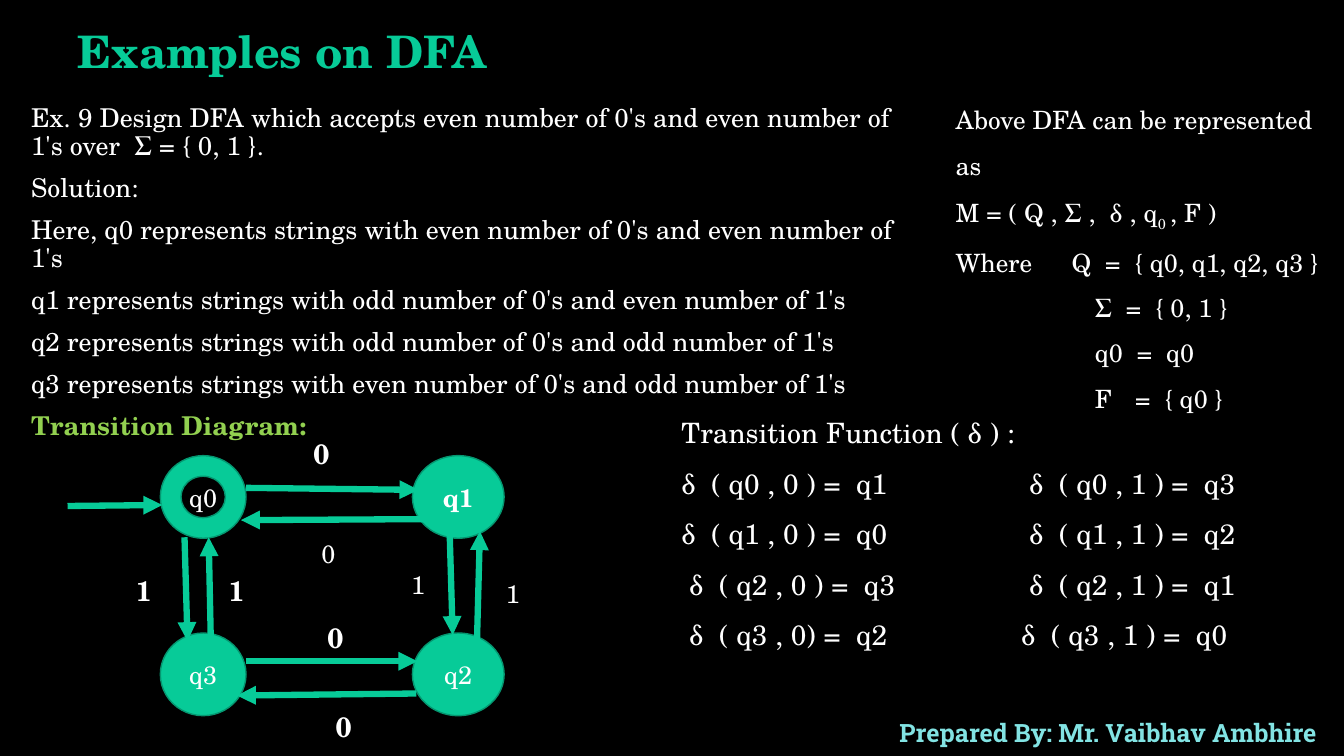
"""Build a slide that designs a DFA for even numbers of 0's and 1's."""
import pptx
import pptx.util
import pptx.dml.color
import pptx.enum.shapes
import pptx.enum.text
import pptx.oxml.ns
import lxml.etree

Inches = pptx.util.Inches
Pt = pptx.util.Pt
RGB = pptx.dml.color.RGBColor.from_string
ALIGN = pptx.enum.text.PP_ALIGN
ANCHOR = pptx.enum.text.MSO_ANCHOR
SHAPE = pptx.enum.shapes.MSO_SHAPE
qn = pptx.oxml.ns.qn

COLOURS = {
    "background": "000000",
    "text": "FFFFFF",
    "accent": "07CB98",
    "outline": "059670",
    "heading": "92D050",
    "footer": "82E3E3",
}
SERIF = "TeX Gyre Schola"

deck = pptx.Presentation()
deck.slide_width = Inches(13.33)
deck.slide_height = Inches(7.5)
page = deck.slides.add_slide(deck.slide_layouts[5])
page.background.fill.solid()
page.background.fill.fore_color.rgb = RGB(COLOURS["background"])


def write(box, lines, size, bold=False, colour="text", font=SERIF,
          spacing=None, before=None, align=ALIGN.LEFT):
    """Fill a shape with evenly formatted paragraphs."""
    frame = box.text_frame
    frame.word_wrap = True
    frame.text = "\n".join(lines)
    for para in frame.paragraphs:
        para.alignment = align
        para.line_spacing = spacing
        para.space_before = before
        para.font.size = Pt(size)
        for span in para.runs:
            span.font.name = font
            span.font.size = Pt(size)
            span.font.bold = bold
            span.font.color.rgb = RGB(COLOURS[colour])
    return frame.paragraphs


def add_text(left, top, width, height, lines, size, **style):
    """Add a text box and return its paragraphs."""
    box = page.shapes.add_textbox(Inches(left), Inches(top), Inches(width), Inches(height))
    return write(box, lines, size, **style)


title = page.shapes.title
title.left, title.top = Inches(0.67), Inches(0.16)
title.width, title.height = Inches(10.57), Inches(0.67)
title.text_frame.vertical_anchor = ANCHOR.BOTTOM
write(title, ["Examples on DFA"], 32, bold=True, colour="accent", spacing=0.9)

add_text(8.64, 7.07, 4.7, 0.4, ["Prepared By: Mr. Vaibhav Ambhire"], 18,
         bold=True, colour="footer", font="Roboto Slab", align=ALIGN.CENTER)

problem = add_text(0.21, 0.99, 8.98, 3.29, [
    "Ex. 9 Design DFA which accepts even number of 0's and even number of 1's over  Σ = { 0, 1 }.",
    "Solution:",
    "Here, q0 represents strings with even number of 0's and even number of 1's",
    "q1 represents strings with odd number of 0's and even number of 1's",
    "q2 represents strings with odd number of 0's and odd number of 1's",
    "q3 represents strings with even number of 0's and odd number of 1's",
    "Transition Diagram:",
], 18.5, spacing=0.9, before=Pt(10))
heading = problem[-1].runs[0]
heading.font.bold = True
heading.font.color.rgb = RGB(COLOURS["heading"])

definition = add_text(9.38, 0.84, 4.05, 2.77, [
    "Above DFA can be represented as",
    "M = ( Q , Σ ,  δ , q",
    "Where\tQ  =  { q0, q1, q2, q3 }",
    "\tΣ  =  { 0, 1 }",
    "\tq0  =  q0",
    "\tF\t=  { q0 }",
], 18, spacing=1.5)
for piece, baseline in (("0 ", "-25000"), (", F )", "0")):
    span = definition[1].add_run()
    span.text = piece
    span.font.name = SERIF
    span.font.size = Pt(18)
    span.font.color.rgb = RGB(COLOURS["text"])
    span.font._element.set("baseline", baseline)

moves = add_text(6.66, 3.91, 6.16, 2.56, [
    "Transition Function ( δ ) :",
    "δ  ( q0 , 0 ) =  q1\tδ  ( q0 , 1 ) =  q3",
    "δ  ( q1 , 0 ) =  q0\tδ  ( q1 , 1 ) =  q2",
    " δ  ( q2 , 0 ) =  q3\tδ  ( q2 , 1 ) =  q1",
    " δ  ( q3 , 0) =  q2\tδ  ( q3 , 1 ) =  q0",
], 20, spacing=1.5)

tab_stops = [(definition[2], [1.15])]
tab_stops += [(para, [1.38, 1.78]) for para in definition[3:]]
tab_stops += [(para, [3.45]) for para in moves[1:4]]
tab_stops += [(moves[4], [3.37])]
for para, stops in tab_stops:
    tabs = lxml.etree.SubElement(para._p.get_or_add_pPr(), qn("a:tabLst"))
    for stop in stops:
        lxml.etree.SubElement(tabs, qn("a:tab"), pos=str(Inches(stop)), algn="l")

states = [
    ("q0", SHAPE.DONUT, 1.59, 4.52, 0.85, False),
    ("q1", SHAPE.OVAL, 4.09, 4.52, 0.91, True),
    ("q2", SHAPE.OVAL, 4.09, 6.28, 0.91, False),
    ("q3", SHAPE.OVAL, 1.59, 6.28, 0.85, False),
]
for name, kind, left, top, width, bold in states:
    state = page.shapes.add_shape(kind, Inches(left), Inches(top), Inches(width), Inches(0.82))
    state.shadow.inherit = False
    state.fill.solid()
    state.fill.fore_color.rgb = RGB(COLOURS["accent"])
    state.line.color.rgb = RGB(COLOURS["outline"])
    state.line.width = Pt(1)
    state.text_frame.vertical_anchor = ANCHOR.MIDDLE
    write(state, [name], 18, bold=bold, align=ALIGN.CENTER)

arrows = [
    (0.67, 5.02, 1.61, 5.01),
    (2.44, 4.84, 4.15, 4.86),
    (4.23, 5.15, 2.39, 5.16),
    (1.83, 5.33, 1.86, 6.36),
    (2.09, 6.3, 2.07, 5.33),
    (2.44, 6.56, 4.14, 6.56),
    (4.13, 6.88, 2.35, 6.9),
    (4.46, 5.29, 4.49, 6.3),
    (4.73, 6.39, 4.76, 5.27),
]
for ends in arrows:
    arrow = page.shapes.add_connector(
        pptx.enum.shapes.MSO_CONNECTOR.STRAIGHT, *[Inches(value) for value in ends])
    arrow.line.color.rgb = RGB(COLOURS["accent"])
    arrow.line.width = Pt(4.5)
    lxml.etree.SubElement(arrow.line._get_or_add_ln(), qn("a:tailEnd"), type="triangle")
    lxml.etree.SubElement(arrow._element.spPr, qn("a:effectLst"))

labels = [
    ("0", 3.01, 4.28, 0.39, 20, True),
    ("0", 3.09, 5.29, 0.41, 18, False),
    ("1", 1.25, 5.64, 0.36, 20, True),
    ("1", 2.17, 5.64, 0.36, 20, True),
    ("1", 3.98, 5.6, 0.41, 18, False),
    ("1", 4.92, 5.69, 0.34, 18, False),
    ("0", 3.15, 6.11, 0.36, 20, True),
    ("0", 3.23, 6.99, 0.36, 20, True),
]
for symbol, left, top, width, size, bold in labels:
    add_text(left, top, width, size * 0.022, [symbol], size, bold=bold)

deck.save("out.pptx")
